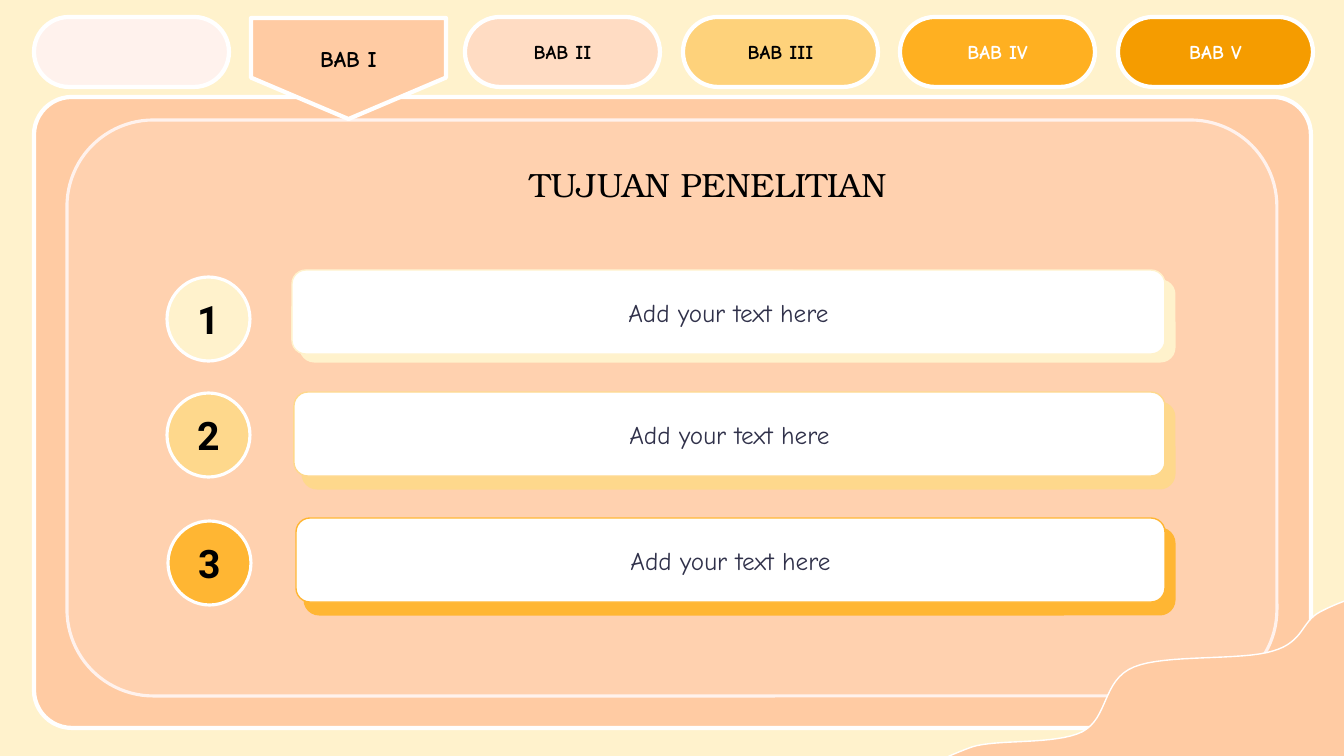
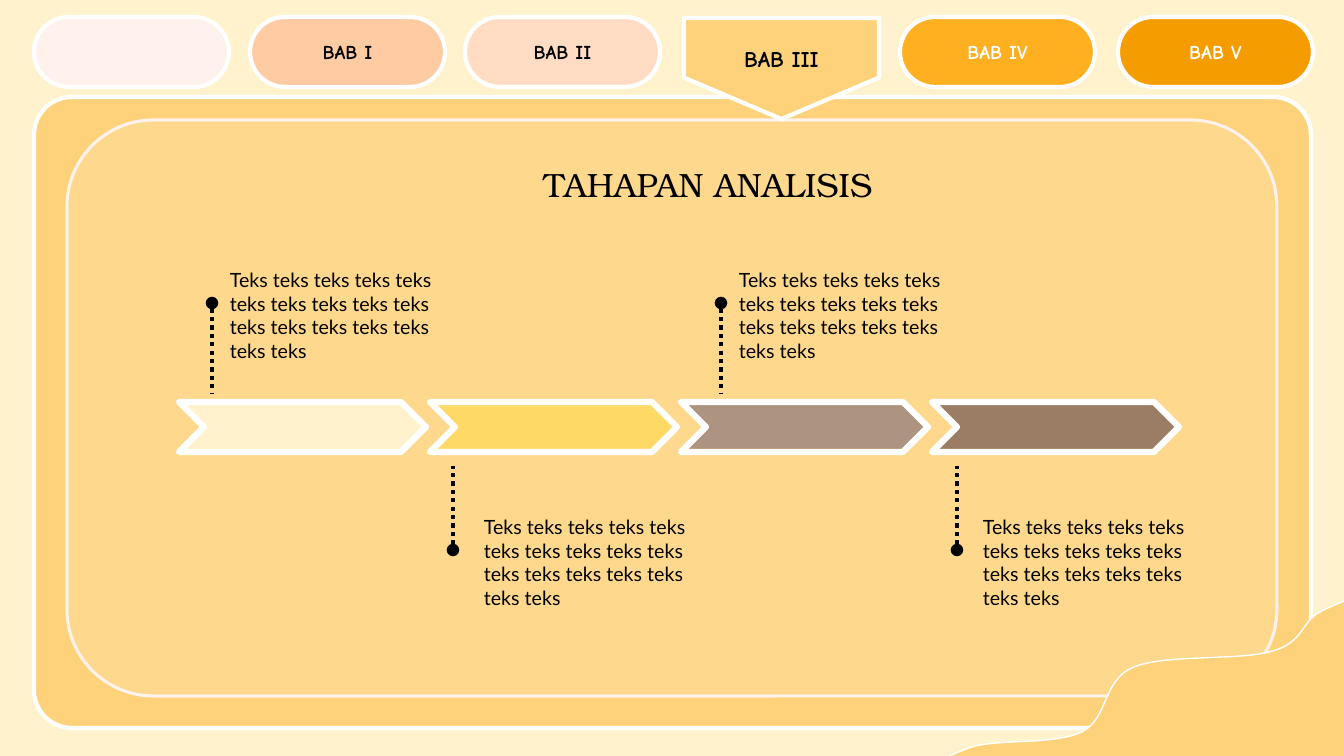
"""Build two tabbed report slides: research goals and analysis stages."""
from pptx import Presentation
from pptx.dml.color import RGBColor
from pptx.enum.dml import MSO_LINE
from pptx.enum.shapes import MSO_CONNECTOR, MSO_SHAPE
from pptx.enum.text import MSO_ANCHOR, MSO_AUTO_SIZE, PP_ALIGN
from pptx.oxml.ns import qn
from pptx.util import Pt

ROUND, OVAL = MSO_SHAPE.ROUNDED_RECTANGLE, MSO_SHAPE.OVAL
PLATE, ARROW = MSO_SHAPE.PENTAGON, MSO_SHAPE.CHEVRON
LINE, DOTS = MSO_CONNECTOR.STRAIGHT, MSO_LINE.ROUND_DOT
LEFT, MID = PP_ALIGN.LEFT, PP_ALIGN.CENTER
CORE, FIT = MSO_ANCHOR.MIDDLE, MSO_AUTO_SIZE.SHAPE_TO_FIT_TEXT

WIDE, HIGH = 1344, 756
UNIT = 914400 / 100.8
CREAM, WHITE, BLACK, BLUSH, NAVY = "FFF2CC", "FFFFFF", "000000", "FFF2ED", "30314A"
AMBER, GOLD = "FED88C", "FFB633"

FONTS = {
    "title": {"name": "TeX Gyre Bonum", "size": Pt(24)},
    "tab": {"name": "Comic Neue", "size": Pt(14), "bold": True},
    "open": {"name": "Comic Neue", "size": Pt(16), "bold": True},
    "count": {"name": "Roboto", "size": Pt(28), "bold": True},
    "card": {"name": "Comic Neue", "size": Pt(18)},
    "note": {"name": "Lato", "size": Pt(14)},
}
TABS = [
    (34, "", BLUSH, BLACK),
    (250, "BAB I", "FFCBA3", BLACK),
    (465, "BAB II", "FFDCC3", BLACK),
    (683, "BAB III", "FED27B", BLACK),
    (900, "BAB IV", "FFB021", WHITE),
    (1118, "BAB V", "F59C00", WHITE),
]
WAVE = [
    (1386, 593), (1361, 594), (1339, 602), (1320, 612),
    (1301, 622), (1304, 642), (1273, 651),
    (1242, 661), (1165, 654), (1134, 667),
    (1102, 680), (1109, 718), (1082, 732),
    (1055, 745), (996, 739), (972, 747),
    (947, 756), (905, 774), (935, 782),
]
GOALS = [
    ("1", CREAM, (167, 277), (292, 270), 80),
    ("2", AMBER, (167, 393), (294, 392), 85),
    ("3", GOLD, (168, 521), (296, 518), 85),
]
GOAL = "Add your text here"
NOTE = "Teks teks teks teks teks teks teks teks teks teks teks teks teks teks teks teks teks"
UP, DOWN = (303, 393, 263), (550, 466, 510)
STEPS = [
    (CREAM, 212, 220, UP),
    ("FFD966", 453, 474, DOWN),
    ("AC9480", 721, 729, UP),
    ("9B7D65", 957, 973, DOWN),
]


def px(num):
    return round(num * UNIT)


def rgb(code):
    return RGBColor.from_string(code)


def paint(shape, fill, edge, width):
    shape.shadow.inherit = False
    shape.fill.solid()
    shape.fill.fore_color.rgb = rgb(fill)
    shape.line.color.rgb = rgb(edge)
    shape.line.width = Pt(width)


def write(shape, text, style, color=BLACK, align=MID):
    frame = shape.text_frame
    frame.word_wrap = True
    para = frame.paragraphs[0]
    para.alignment = align
    run = para.add_run()
    run.text = text
    for key, value in FONTS[style].items():
        setattr(run.font, key, value)
    run.font.color.rgb = rgb(color)


def draw(slide, kind, box, fill, edge=WHITE, width=3, adj=None):
    shape = slide.shapes.add_shape(kind, *map(px, box))
    paint(shape, fill, edge, width)
    shape.text_frame.vertical_anchor = CORE
    if adj is not None:
        shape.adjustments[0] = adj
    return shape


def label(slide, box, text, style, align=MID):
    area = slide.shapes.add_textbox(*map(px, box))
    write(area, text, style, align=align)
    area.text_frame.auto_size = FIT


def curve(knots, parts=16):
    dots = [knots[0]]
    for i in range(0, len(knots) - 1, 3):
        a, b, c, d = knots[i:i + 4]
        for n in range(1, parts + 1):
            t = n / parts
            s = 1 - t
            dots.append([s**3 * a[k] + 3 * s * s * t * b[k] + 3 * s * t * t * c[k] + t**3 * d[k]
                         for k in (0, 1)])
    return dots


def wave(slide, fill):
    right, low = WIDE + 2, HIGH + 2
    dots = [(px(min(x, right)), px(min(y, low))) for x, y in curve(WAVE)]
    dots.append((px(right), px(low)))
    form = slide.shapes.build_freeform(*dots[0], scale=1)
    form.add_line_segments(dots[1:], close=True)
    paint(form.convert_to_shape(), fill, WHITE, 1)


def tabs(slide, live):
    for i, (x, text, fill, color) in enumerate(TABS):
        if i == live:
            tab = draw(slide, PLATE, (x + 48, -29, 101, 195), fill, adj=0.41)
            tab.rotation = 90
            tab.text_frame._txBody.bodyPr.set("vert", "vert270")
        else:
            tab = draw(slide, ROUND, (x, 17, 195, 70), fill, adj=0.5)
        if text:
            write(tab, text, "open" if i == live else "tab", color)


def page(deck, title, live, inner):
    slide = deck.slides.add_slide(deck.slide_layouts[6])
    back = slide.background.fill
    back.solid()
    back.fore_color.rgb = rgb(CREAM)
    tone = TABS[live][2]
    draw(slide, ROUND, (34, 97, 1277, 631), tone, adj=0.06)
    draw(slide, ROUND, (67, 120, 1210, 576), inner, BLUSH, 2.25, 0.15)
    wave(slide, tone)
    label(slide, (465, 159, 486, 50), title, "title")
    tabs(slide, live)
    return slide


def goals(slide):
    for num, tone, spot, (x, y), deep in GOALS:
        disc = draw(slide, OVAL, (*spot, 83, 84), tone, width=2.25)
        write(disc, num, "count")
        wide = 1165 - x
        draw(slide, ROUND, (x + 9, y + 11, wide, deep), tone, tone, 2.25)
        card = draw(slide, ROUND, (x, y, wide, 84), WHITE, tone, 1)
        write(card, GOAL, "card", NAVY)


def stem(slide, x, top, end):
    rod = slide.shapes.add_connector(LINE, px(x), px(top), px(x), px(end))
    rod.line.color.rgb = rgb(BLACK)
    rod.line.width = Pt(3)
    rod.line.dash_style = DOTS
    props = rod._element.spPr
    edge = props.find(qn("a:ln"))
    edge.append(edge.makeelement(qn("a:headEnd"), {"type": "oval"}))
    props.append(props.makeelement(qn("a:effectLst"), {}))


def steps(slide):
    for i, (tone, x, left, (top, end, y)) in enumerate(STEPS):
        draw(slide, ARROW, (179 + 251 * i, 402, 247, 50), tone, width=4.5)
        stem(slide, x, top, end)
        label(slide, (left, y, 247, 82), NOTE, "note", LEFT)


def main():
    deck = Presentation()
    deck.slide_width, deck.slide_height = px(WIDE), px(HIGH)
    goals(page(deck, "TUJUAN PENELITIAN", 1, "FFD1AF"))
    steps(page(deck, "TAHAPAN ANALISIS", 3, AMBER))
    deck.save("out.pptx")


if __name__ == "__main__":
    main()
